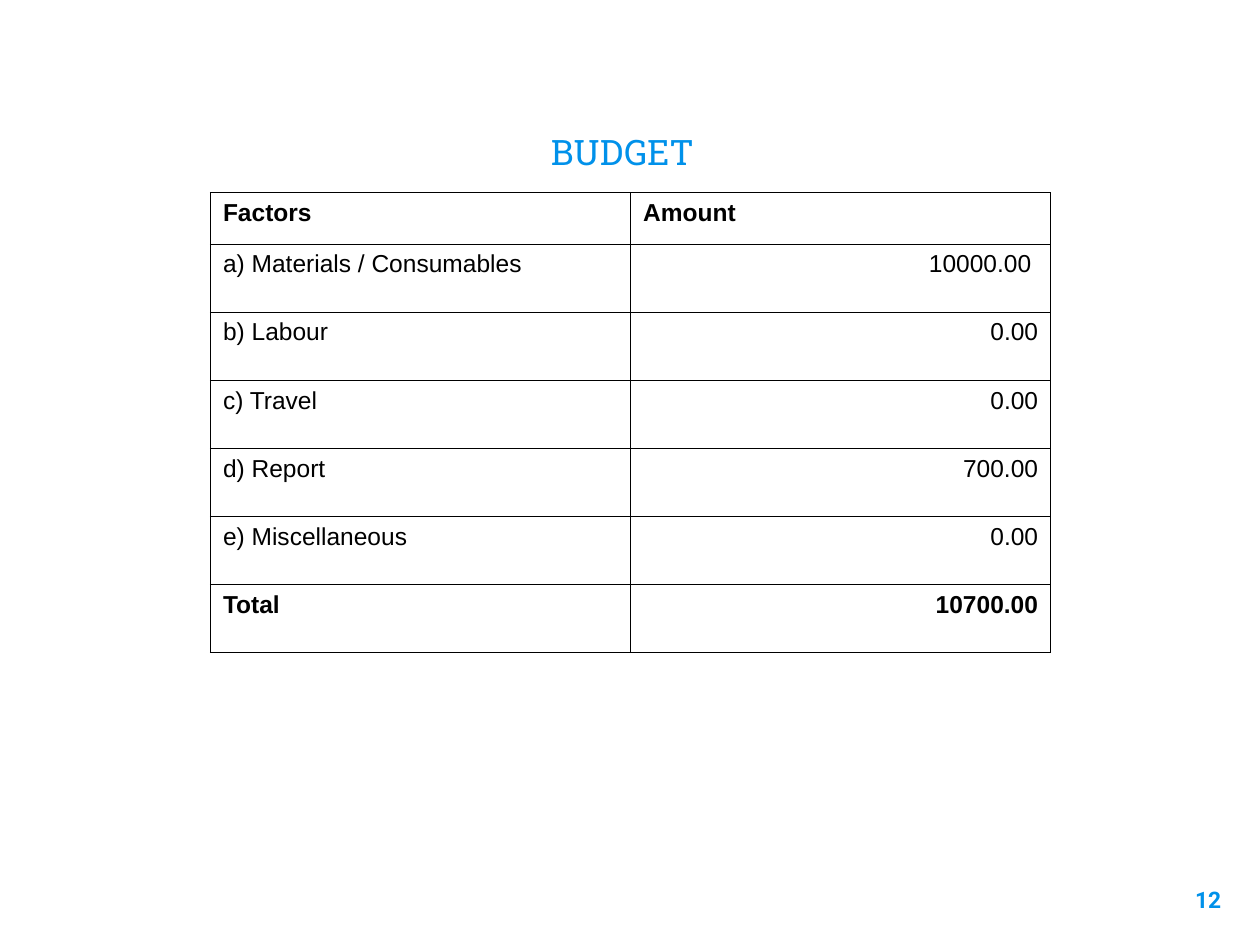
import pptx
import pptx.dml.color
import pptx.enum.text
import pptx.oxml
import pptx.oxml.ns
import pptx.util

Inches = pptx.util.Inches
ALIGN = pptx.enum.text.PP_ALIGN
ANCHOR = pptx.enum.text.MSO_ANCHOR
COLORS = {"accent": "0091EA", "text": "000000", "border": "000000"}
BUDGET_ROWS = [
    ("Factors", "Amount"),
    ("a) Materials / Consumables", "10000.00 "),
    ("b) Labour", "0.00"),
    ("c) Travel", "0.00"),
    ("d) Report", "700.00"),
    ("e) Miscellaneous", "0.00"),
    ("Total", "10700.00"),
]


class BudgetSlide:
    """Hold the style and the current slide, and add its elements."""

    title_font = {"name": "Roboto Slab", "size": pptx.util.Pt(20), "bold": False}
    number_font = {"name": "Roboto", "size": pptx.util.Pt(13), "bold": True}
    cell_font = {"name": "Arial", "size": pptx.util.Pt(14)}

    def __init__(self, presentation):
        self.slide = presentation.slides.add_slide(presentation.slide_layouts[5])

    def set_values(self, target, values):
        for name, value in values.items():
            setattr(target, name, value)

    def set_text(self, text_frame, text, font, color, alignment):
        text_frame.text = text
        paragraph = text_frame.paragraphs[0]
        paragraph.alignment = alignment
        run_font = paragraph.runs[0].font
        self.set_values(run_font, font)
        run_font.color.rgb = pptx.dml.color.RGBColor.from_string(COLORS[color])

    def frame_text(self, shape, anchor, right_margin=0.1):
        margin = Inches(0.1)
        self.set_values(shape.text_frame, {
            "word_wrap": True,
            "auto_size": pptx.enum.text.MSO_AUTO_SIZE.NONE,
            "vertical_anchor": anchor,
            "margin_left": margin,
            "margin_top": margin,
            "margin_bottom": margin,
            "margin_right": Inches(right_margin),
        })

    def add_title(self, text, left, top, width, height):
        title = self.slide.shapes.title
        self.set_values(title, {
            "left": Inches(left), "top": Inches(top),
            "width": Inches(width), "height": Inches(height),
        })
        self.frame_text(title, ANCHOR.BOTTOM, right_margin=0.22)
        self.set_text(title.text_frame, text, self.title_font, "accent", ALIGN.CENTER)

    def add_number(self, text, left, top, width, height):
        box = self.slide.shapes.add_textbox(
            Inches(left), Inches(top), Inches(width), Inches(height))
        self.frame_text(box, ANCHOR.TOP)
        self.set_text(box.text_frame, text, self.number_font, "accent", ALIGN.RIGHT)

    def add_borders(self, cell):
        properties = cell._tc.get_or_add_tcPr()
        namespace = pptx.oxml.ns.nsdecls("a")
        for index, side in enumerate("LRTB"):
            properties.insert(index, pptx.oxml.parse_xml(
                f'<a:ln{side} {namespace} w="{pptx.util.Pt(0.75)}"><a:solidFill>'
                f'<a:srgbClr val="{COLORS["border"]}"/></a:solidFill></a:ln{side}>'))

    def add_table(self, rows, left, top, width, header_height, row_height):
        height = header_height + row_height * (len(rows) - 1)
        table = self.slide.shapes.add_table(
            len(rows), len(rows[0]),
            Inches(left), Inches(top), Inches(width), Inches(height)).table
        self.set_values(table, {"first_row": False, "horz_banding": False})
        for row_index, texts in enumerate(rows):
            is_header = row_index == 0
            bold = is_header or row_index == len(rows) - 1
            table.rows[row_index].height = Inches(
                header_height if is_header else row_height)
            for column_index, text in enumerate(texts):
                cell = table.cell(row_index, column_index)
                is_amount = column_index == 1 and not is_header
                self.set_text(cell.text_frame, text, {**self.cell_font, "bold": bold},
                              "text", ALIGN.RIGHT if is_amount else ALIGN.LEFT)
                cell.fill.background()
                self.add_borders(cell)


def main():
    presentation = pptx.Presentation()
    presentation.slide_width = Inches(10)
    presentation.slide_height = Inches(7.5)
    budget = BudgetSlide(presentation)
    budget.add_title("BUDGET", 0.86, 0.45, 8.28, 1.02)
    budget.add_number("12", 9.19, 6.93, 0.6, 0.57)
    budget.add_table(BUDGET_ROWS, 1.67, 1.53, 6.67, 0.41, 0.54)
    presentation.save("out.pptx")


if __name__ == "__main__":
    main()
